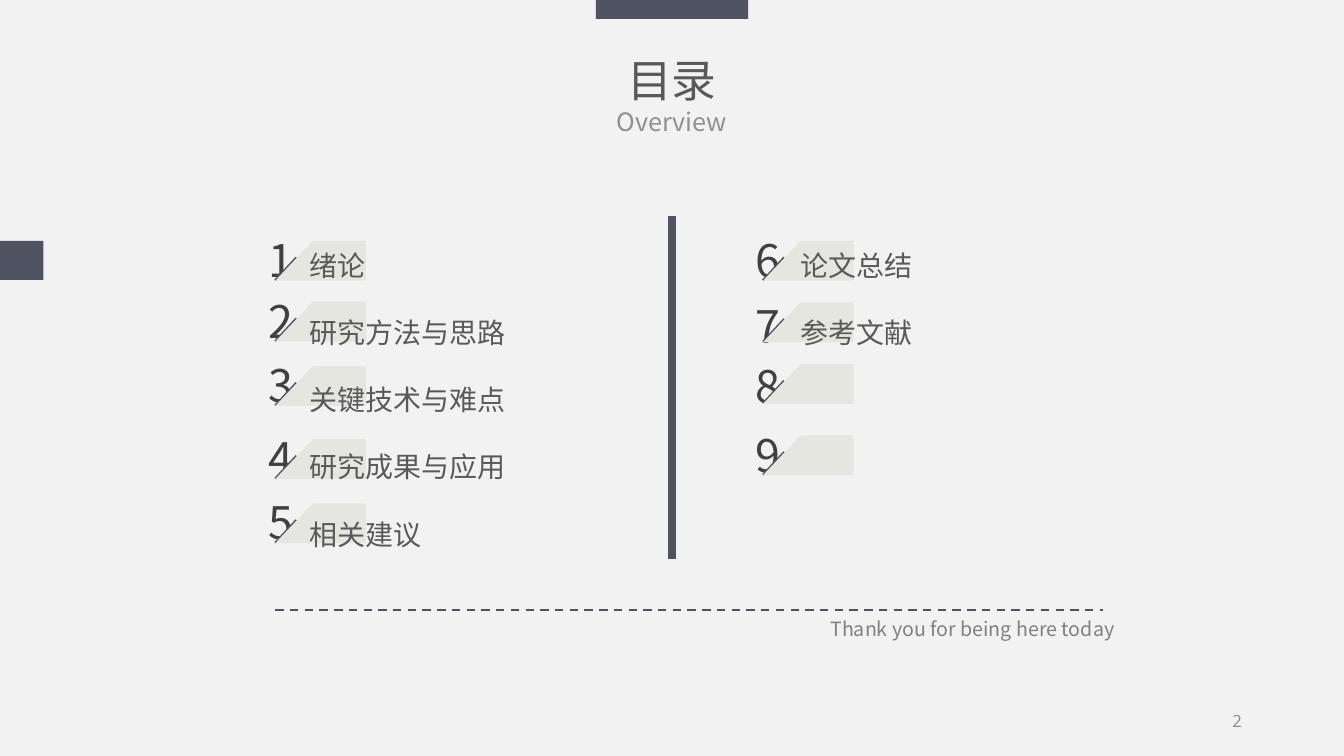
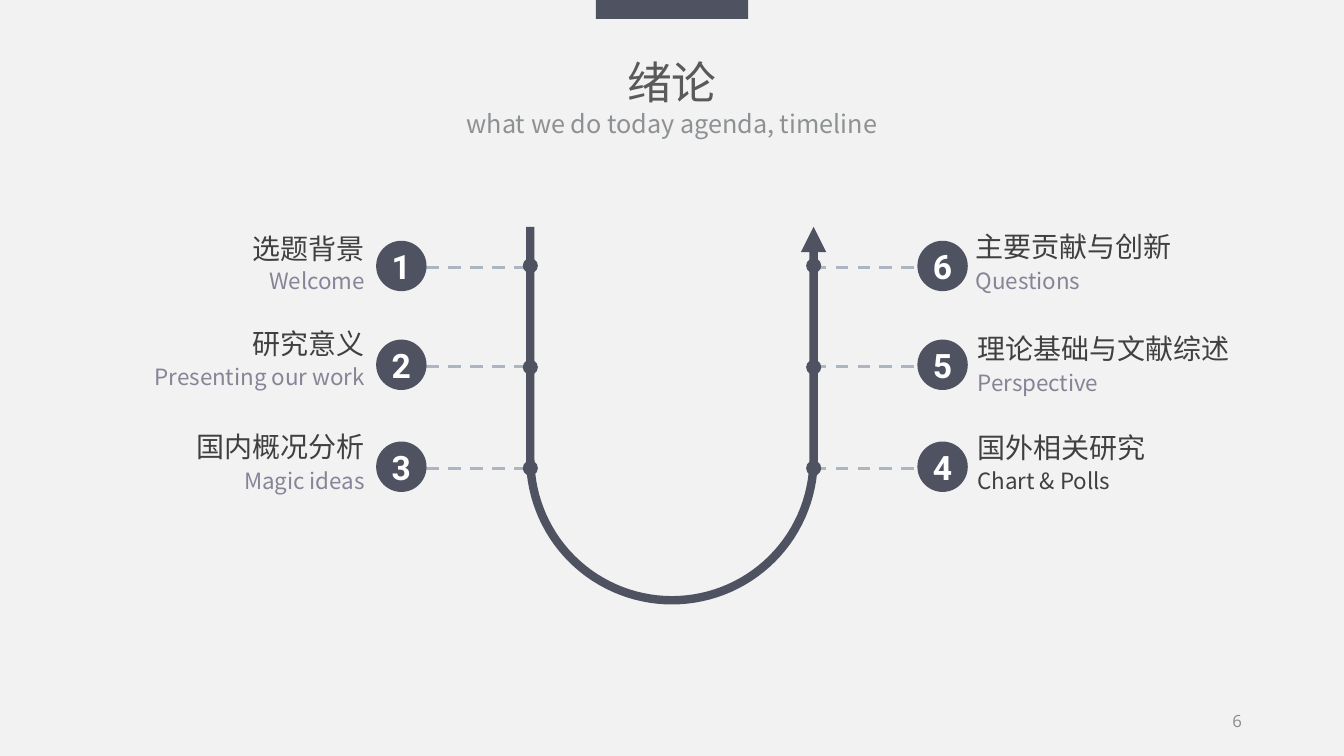
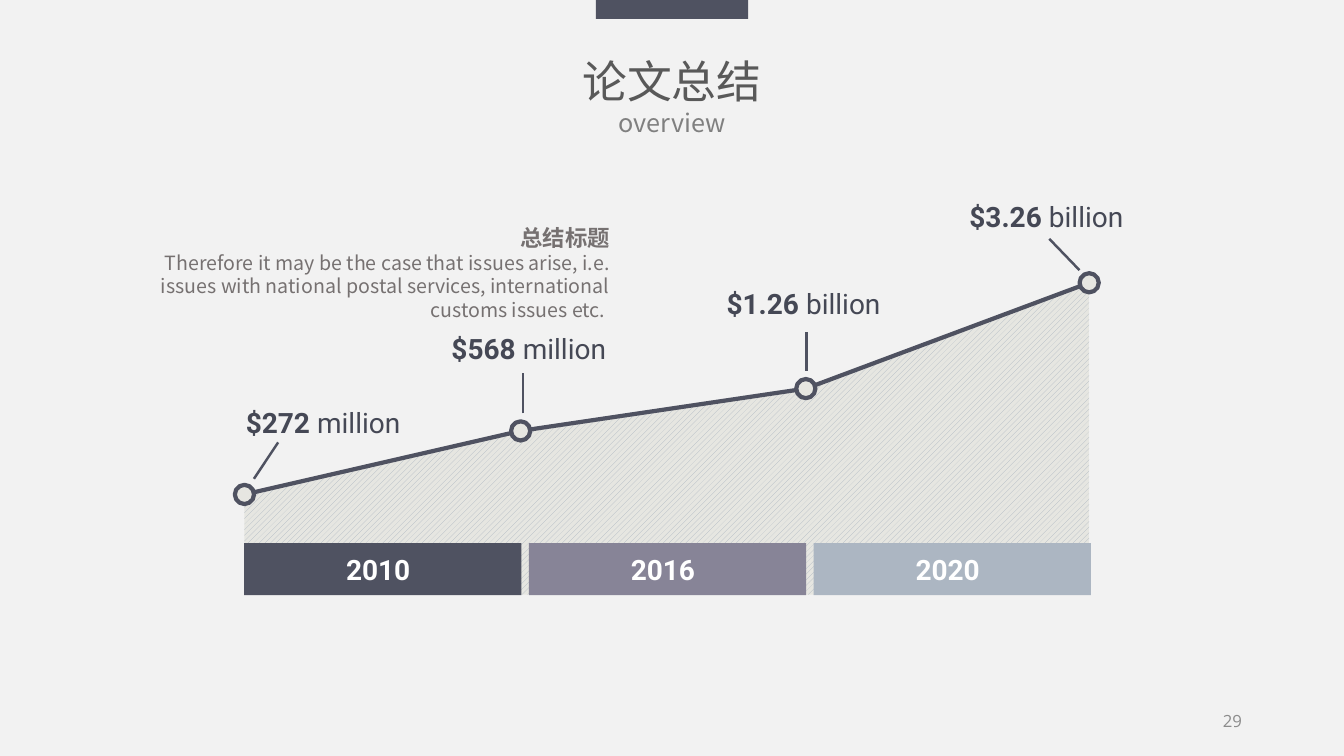
from math import cos, radians, sin

from lxml.etree import SubElement
from pptx import Presentation
from pptx.dml.color import RGBColor
from pptx.enum.dml import MSO_LINE, MSO_PATTERN
from pptx.enum.shapes import MSO_CONNECTOR, MSO_SHAPE
from pptx.enum.text import MSO_ANCHOR, MSO_AUTO_SIZE, PP_ALIGN
from pptx.oxml.ns import qn
from pptx.util import Pt

# Shared palette and fonts
PAPER, STONE = "F2F2F2", "E6E6E1"
NAVY, MAUVE, MIST = "4F5261", "878497", "ACB6C2"
DARK, BODY, GREY, WHITE = "404040", "595959", "808080", "FFFFFF"
HAN, LATIN = "Noto Sans CJK SC", "Roboto"
LEFT, CENTER, RIGHT = PP_ALIGN.LEFT, PP_ALIGN.CENTER, PP_ALIGN.RIGHT
MIDDLE_X = 480


def tint(code):
    return RGBColor.from_string(code)


def points(*lengths):
    return [Pt(length) for length in lengths]


# Text
def fill_text(frame, paras, align=LEFT, spacing=None, **base):
    """Each paragraph is a list of (text, format changes)."""
    for index, spans in enumerate(paras):
        para = frame.paragraphs[0] if index == 0 else frame.add_paragraph()
        para.alignment = align
        para.line_spacing = spacing
        for text, changes in spans:
            look = {"name": HAN, "bold": False, **base, **changes}
            span = para.add_run()
            span.text = text
            span.font.color.rgb = tint(look.pop("color"))
            look["size"] = Pt(look["size"])
            for name, value in look.items():
                setattr(span.font, name, value)
            SubElement(span.font._element, qn("a:ea"), typeface=HAN)


def add_text(page, place, paras, wrap=False, anchor=MSO_ANCHOR.TOP, **look):
    frame = page.shapes.add_textbox(*points(*place)).text_frame
    settings = {"word_wrap": wrap, "vertical_anchor": anchor,
                "auto_size": MSO_AUTO_SIZE.NONE if wrap else MSO_AUTO_SIZE.SHAPE_TO_FIT_TEXT}
    for name, value in settings.items():
        setattr(frame, name, value)
    fill_text(frame, paras, **look)


def plain(*lines):
    return [[(line, {})] for line in lines]


# Shapes and lines
def set_line(line, color, width, dash=None):
    line.color.rgb = tint(color)
    line.width = Pt(width)
    if dash:
        line.dash_style = dash


def finish(shape, fill=None, line=None):
    shape.shadow.inherit = False
    if fill:
        shape.fill.solid()
        shape.fill.fore_color.rgb = tint(fill)
    else:
        shape.fill.background()
    if line:
        set_line(shape.line, *line)
    else:
        shape.line.fill.background()
    return shape


def add_block(page, kind, place, fill, line=None):
    return finish(page.shapes.add_shape(kind, *points(*place)), fill, line)


def add_disk(page, x, y, size, fill, line=None):
    place = (x - size / 2, y - size / 2, size, size)
    return add_block(page, MSO_SHAPE.OVAL, place, fill, line)


def label(shape, text, size, right_margin=0):
    frame = shape.text_frame
    margins = {"margin_left": 0, "margin_top": 0, "margin_bottom": 0,
               "margin_right": Pt(right_margin), "vertical_anchor": MSO_ANCHOR.MIDDLE}
    for name, value in margins.items():
        setattr(frame, name, value)
    fill_text(frame, plain(text), CENTER, name=LATIN, size=size, color=WHITE, bold=True)


def add_line(page, start, end, width, color=NAVY, dash=None):
    line = page.shapes.add_connector(MSO_CONNECTOR.STRAIGHT, *points(*start, *end))
    set_line(line.line, color, width, dash)
    SubElement(line._element.spPr, qn("a:effectLst"))


def add_outline(page, corners, closed, fill=None, line=None):
    first, *rest = [points(*corner) for corner in corners]
    builder = page.shapes.build_freeform(*first)
    builder.add_line_segments(rest, close=closed)
    return finish(builder.convert_to_shape(), fill, line)


# Top band, title and page number of every slide
def add_page(deck, title, subtitle, number, top, width, subtitle_color="8D9193"):
    page = deck.slides.add_slide(deck.slide_layouts[6])
    add_block(page, MSO_SHAPE.RECTANGLE, (425.6, 0, 108.8, 13.6), NAVY)
    add_text(page, (MIDDLE_X - width / 2, top, width, 67.7),
             [[(title, {"size": 32, "color": BODY})],
              [(subtitle, {"size": 18, "color": subtitle_color})]], align=CENTER)
    add_text(page, (863.3, 500.4, 31, 28.8), plain(number), wrap=True,
             anchor=MSO_ANCHOR.MIDDLE, align=RIGHT, name="Open Sans", size=12, color="8C8C8C")
    return page


# Contents
def add_number_tag(page, number, x, y, lift):
    add_text(page, (x - 12.2, y - lift, 34, 46), plain(number), size=32, color=DARK)
    add_line(page, (x + 15.1, y + 11.9), (x, y + 28.2), 1.5)
    add_outline(page, [(x + 26.8, y), (x + 64.8, y), (x + 64.8, y + 28.5), (x, y + 28.5)],
                True, STONE)


def build_contents(deck):
    page = add_page(deck, "目录", "Overview", "2", 33.8, 98.6)
    columns = [
        (196.6, [(172, 9.4), (215.5, 9.4), (261.5, 9.4), (313.7, 9.8), (359.5, 9.4)]),
        (545, [(172, 9.4), (216, 6.5), (260, 7.2), (311, 9.4)]),
    ]
    number = 0
    for x, tags in columns:
        for y, lift in tags:
            number += 1
            add_number_tag(page, str(number), x, y, lift)
    lists = [
        ((213.8, 149.8, 156.2, 249.8),
         ["绪论", "研究方法与思路", "关键技术与难点", "研究成果与应用", "相关建议"]),
        ((564.5, 149.8, 95, 104.4), ["论文总结", "参考文献"]),
    ]
    for place, lines in lists:
        add_text(page, place, plain(*lines), spacing=2.0, size=20, color=BODY)
    add_line(page, (MIDDLE_X, 399.6), (MIDDLE_X, 154.1), 6)
    add_line(page, (196.6, 435.6), (787.7, 435.6), 1.5, dash=MSO_LINE.DASH)
    add_text(page, (586, 437, 227.5, 24.5), plain("Thank you for being here today"),
             size=14, color=GREY)
    add_block(page, MSO_SHAPE.RECTANGLE, (0, 172, 31, 28), NAVY)


# Timeline
def build_timeline(deck):
    page = add_page(deck, "绪论", "what we do today agenda, timeline", "6", 35.3, 316.8)
    radius, bend = 101.2, 327.6
    rows = [(190.8, 189.8, 190), (262.1, 262.3, 260.6), (334.8, 334.4, 333.4)]
    for line_y, _, _ in rows:
        for x in (304.6, 581.2):
            add_line(page, (x, line_y), (x + 74.1, line_y), 2.25, MIST, MSO_LINE.DASH)

    # U-shaped path, arrow at its right end
    arc = [(MIDDLE_X + radius * cos(radians(angle)), bend + radius * sin(radians(angle)))
           for angle in range(0, 181, 3)]
    track = add_outline(page, [(MIDDLE_X + radius, 162), *arc, (MIDDLE_X - radius, 162)],
                        False, line=(NAVY, 6))
    SubElement(track.line._get_or_add_ln(), qn("a:headEnd"), type="triangle")

    # Per stop: title, its width and top, subtitle, its width and top, subtitle colour
    left = [("1", "选题背景", 95, 162, "Welcome", 90.7, 187.2, MAUVE),
            ("2", "研究意义", 95, 229.7, "Presenting our work", 172, 255.6, MAUVE),
            ("3", "国内概况分析", 135.4, 303.1, "Magic ideas", 110.9, 329.8, MAUVE)]
    right = [("6", "主要贡献与创新", 156.2, 160.6, "Questions", 94.3, 187.2, MAUVE),
             ("5", "理论基础与文献综述", 196.6, 233.3, "Perspective", 107.3, 259.9, MAUVE),
             ("4", "国外相关研究", 135.4, 303.8, "Chart & Polls", 117.4, 330.5, DARK)]
    sides = [(-1, left, RIGHT, [267.8] * 3), (1, right, LEFT, [689.8, 691.2, 691.2])]
    for side, stops, align, edges in sides:
        for stop, edge, (_, dot_y, disk_y) in zip(stops, edges, rows):
            number, title, title_w, title_y, subtitle, sub_w, sub_y, sub_color = stop
            add_disk(page, MIDDLE_X + side * radius, dot_y, 10.8, NAVY)
            disk = add_disk(page, MIDDLE_X + side * 193.3, disk_y, 36, NAVY)
            label(disk, number, 24)
            for text, width, top, height, size, color in (
                    (title, title_w, title_y, 31.7, 20, DARK),
                    (subtitle, sub_w, sub_y, 26.6, 16, sub_color)):
                x = edge - width if side < 0 else edge
                add_text(page, (x, top, width, height), plain(text),
                         align=align, size=size, color=color)


# Growth
def build_growth(deck):
    page = add_page(deck, "论文总结", "overview", "29", 34.6, 144, GREY)
    trend = [(174.6, 353.2), (371.9, 307.8), (575.6, 277.6), (778, 202)]
    base = 424.8
    area = add_outline(page, [*trend, (trend[-1][0], base), (trend[0][0], base)], True, STONE)
    area.fill.patterned()
    area.fill.pattern = MSO_PATTERN.WIDE_UPWARD_DIAGONAL
    area.fill.fore_color.rgb = tint(MIST)
    area.fill.back_color.rgb = tint(STONE)
    add_outline(page, trend, False, line=(NAVY, 3))
    for x, y in trend:
        add_disk(page, x, y, 13.7, STONE, (NAVY, 3))

    # Amounts with their pointers
    amounts = [
        ("$272 ", "million", (168.5, 285.8), (181.4, 342), (198.7, 316)),
        ("$568 ", "million", (315.4, 233.3), (373.7, 295.2), (373.7, 266.4)),
        ("$1.26 ", "billion", (511.9, 200.9), (576, 265), (576, 236.9)),
        ("$3.26 ", "billion", (685.4, 139), (771.1, 193), (749.5, 170.6)),
    ]
    for amount, unit, corner, start, end in amounts:
        add_line(page, start, end, 1.75)
        add_text(page, (*corner, 126.7, 31.7), [[(amount, {"bold": True}), (unit, {})]],
                 name=LATIN, size=20, color="454855")

    # Year bars
    for index, (year, color) in enumerate((("2010", NAVY), ("2016", MAUVE), ("2020", MIST))):
        bar = add_block(page, MSO_SHAPE.RECTANGLE, (174.4 + 203.4 * index, 388, 198, 37.2), color)
        label(bar, year, 20, right_margin=6.5)

    add_text(page, (74.9, 156.2, 367.9, 77.8),
             [[("总结标题", {"name": LATIN, "size": 16, "bold": True})],
              [("Therefore it may be the case that issues arise, i.e. issues with national "
                "postal services, international customs issues etc. ", {})]],
             wrap=True, align=RIGHT, size=14, color="767171")


def main():
    deck = Presentation()
    deck.slide_width, deck.slide_height = points(960, 540)
    backdrop = deck.slide_master.background.fill
    backdrop.solid()
    backdrop.fore_color.rgb = tint(PAPER)
    for build in (build_contents, build_timeline, build_growth):
        build(deck)
    deck.save("out.pptx")


if __name__ == "__main__":
    main()
